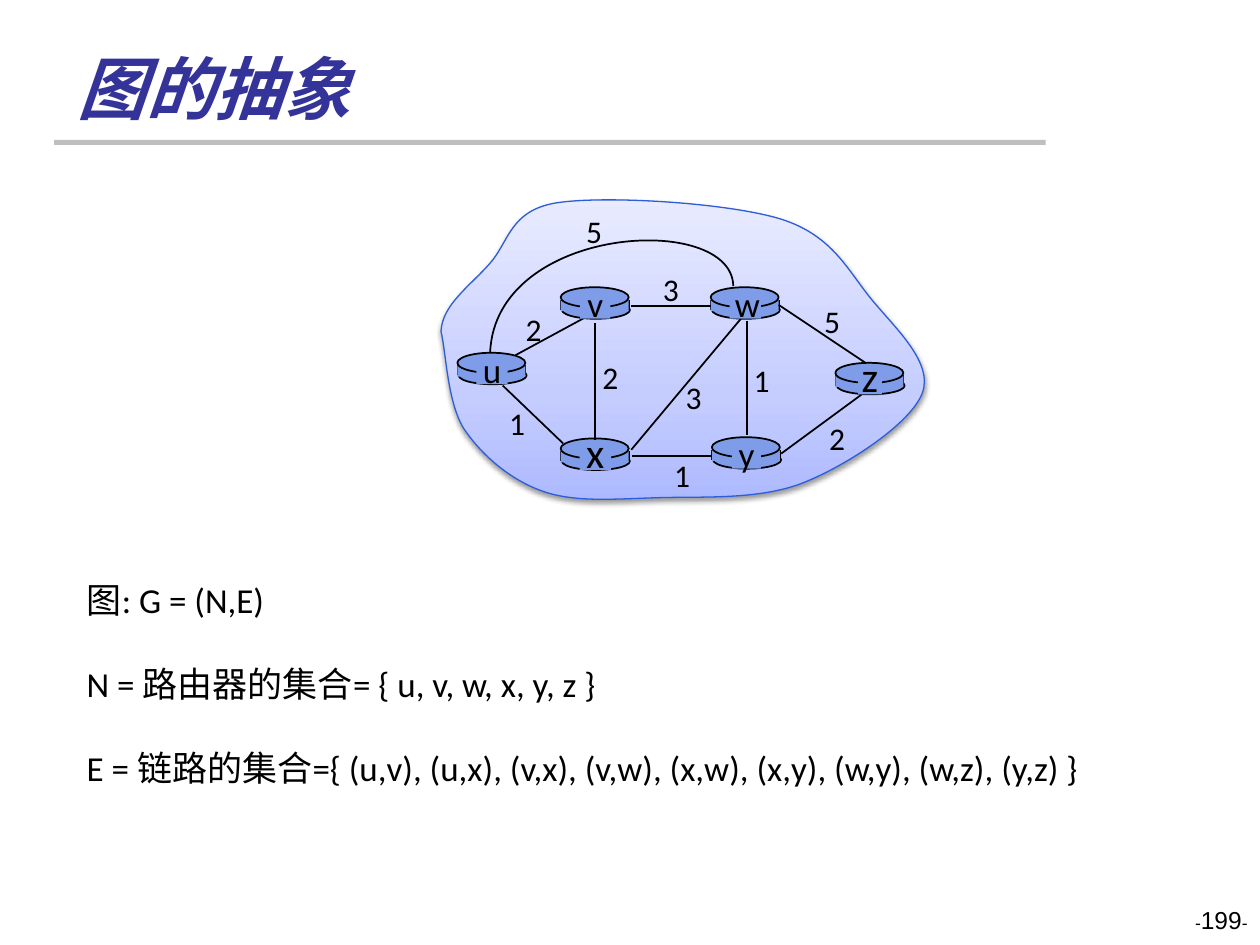
from lxml.etree import SubElement
from pptx import Presentation
from pptx.dml.color import RGBColor
from pptx.enum.shapes import MSO_CONNECTOR, MSO_SHAPE
from pptx.enum.text import MSO_ANCHOR, PP_ALIGN
from pptx.oxml import parse_xml
from pptx.oxml.ns import nsdecls, qn
from pptx.util import Cm, Pt

# Content (positions in inches)
TITLE = "图的抽象"
DEFINITIONS = [
    "图: G = (N,E)",
    "N = 路由器的集合= { u, v, w, x, y, z }",
    "E = 链路的集合={ (u,v), (u,x), (v,x), (v,w), (x,w), (x,y), (w,y), (w,z), (y,z) }",
]
PAGE_NUMBER = [("-", 10), ("199", 14), ("-", 10)]

# name, left, top, label size, label patch width
ROUTERS = [
    ("u", 3.63, 2.8, 20, 0.25), ("x", 4.45, 3.48, 24, 0.25),
    ("v", 4.45, 2.28, 20, 0.24), ("w", 5.64, 2.28, 20, 0.25),
    ("y", 5.65, 3.47, 20, 0.23), ("z", 6.63, 2.88, 24, 0.19),
]
LINK_UV = (4.09, 2.82, 4.68, 2.5)
LINKS = [
    (5.93, 2.55, 5.93, 3.45), (4.72, 2.56, 4.72, 3.49), (5.01, 3.57, 5.88, 2.53),
    (6.2, 3.6, 6.84, 3.13), (5.65, 3.62, 5.02, 3.62), (4.47, 3.52, 3.99, 3.06),
    (5.64, 2.43, 5.01, 2.43), (6.87, 2.88, 6.18, 2.42),
]
COSTS = [  # cost, left, top
    ("2", 4.07, 2.41), ("2", 4.68, 2.79), ("1", 3.94, 3.16), ("3", 5.34, 2.95),
    ("1", 5.25, 3.57), ("1", 5.88, 2.82), ("2", 6.48, 3.28), ("5", 6.44, 2.35),
    ("3", 5.16, 2.09), ("5", 4.55, 1.63),
]
# Start point, then cubic curves as two control points and an end point
CLOUD = (3.5, 2.63), [
    (3.51, 2.42, 3.73, 2.27, 3.88, 2.1), (4.04, 1.93, 4.04, 1.67, 4.42, 1.61),
    (4.81, 1.55, 5.78, 1.61, 6.2, 1.74), (6.61, 1.87, 6.73, 2.15, 6.92, 2.38),
    (7.11, 2.61, 7.41, 2.88, 7.32, 3.12), (7.23, 3.36, 6.73, 3.69, 6.38, 3.83),
    (6.03, 3.97, 5.57, 3.94, 5.23, 3.95), (4.88, 3.96, 4.57, 3.99, 4.31, 3.9),
    (4.05, 3.81, 3.82, 3.61, 3.68, 3.4), (3.55, 3.19, 3.54, 2.79, 3.5, 2.63),
]
LINK_UW = (5.82, 2.27), [(5.81, 1.68, 3.93, 1.78, 3.89, 2.8)]
CLOUD_STOPS = [(0, "ADB9FF"), (35, "C5CDFF"), (100, "E9ECFF")]
BLACK, ROUTER_BLUE, CLOUD_EDGE = "000000", "7E9CE8", "2D5DD9"

presentation = Presentation()
presentation.slide_width, presentation.slide_height = Cm(25.4), Cm(19.05)
slide = presentation.slides.add_slide(presentation.slide_layouts[6])


def lengths(*inches):
    return [Cm(value * 2.54) for value in inches]


def color(value):
    return RGBColor.from_string(value)


def set_line(shape, value, width=1):
    shape.line.color.rgb = color(value)
    shape.line.width = Pt(width)


def add_block(kind, box, fill, outline=None):
    shape = slide.shapes.add_shape(kind, *lengths(*box))
    shape.shadow.inherit = False
    shape.fill.solid()
    shape.fill.fore_color.rgb = color(fill)
    if outline:
        set_line(shape, outline)
    else:
        shape.line.fill.background()


def add_link(*ends):
    connector = slide.shapes.add_connector(MSO_CONNECTOR.STRAIGHT, *lengths(*ends))
    set_line(connector, BLACK)
    SubElement(connector._element.spPr, qn("a:effectLst"))


def add_curve(start, curves, close):
    points = [lengths(*curve[i:i + 2]) for curve in curves for i in (0, 2, 4)]
    builder = slide.shapes.build_freeform(*lengths(*start))
    builder.add_line_segments(points, close=close)
    shape = builder.convert_to_shape()
    shape.shadow.inherit = False
    shape.fill.background()
    # Join every three segments into one cubic curve
    segments = list(shape._element.iter(qn("a:lnTo")))[:len(points)]
    for first in range(0, len(points), 3):
        curve = parse_xml(f'<a:cubicBezTo {nsdecls("a")}/>')
        segments[first].addprevious(curve)
        for segment in segments[first:first + 3]:
            curve.append(segment[0])
            segment.getparent().remove(segment)
    return shape


def add_text(box, paragraphs, align=PP_ALIGN.LEFT, wrap=True, gap=0,
             anchor=MSO_ANCHOR.TOP, name="Calibri", ink=BLACK, **font_format):
    """Each paragraph is a list of (text, size) runs."""
    frame = slide.shapes.add_textbox(*lengths(*box)).text_frame
    frame.word_wrap = wrap
    frame.vertical_anchor = anchor
    for index, runs in enumerate(paragraphs):
        paragraph = frame.add_paragraph() if index else frame.paragraphs[0]
        paragraph.alignment = align
        if index and gap:
            paragraph.space_before = Pt(gap)
        for text, size in runs:
            run = paragraph.add_run()
            run.text = text
            run.font.color.rgb = color(ink)
            for key, value in {"name": name, "size": Pt(size), **font_format}.items():
                setattr(run.font, key, value)


def add_router(left, top):
    add_block(MSO_SHAPE.OVAL, (left + 0.01, top + 0.11, 0.54, 0.14), ROUTER_BLUE, BLACK)
    for side in (left, left + 0.54):
        add_link(side, top + 0.1, side, top + 0.18)
    add_block(MSO_SHAPE.RECTANGLE, (left, top + 0.1, 0.54, 0.09), ROUTER_BLUE)
    add_block(MSO_SHAPE.OVAL, (left, top, 0.54, 0.16), ROUTER_BLUE, BLACK)


# Rule under the title
add_block(MSO_SHAPE.RECTANGLE, (0.43, 1.11, 7.87, 0.04), "BFBFBF")

# Network cloud with gradient and soft shadow
cloud = add_curve(*CLOUD, close=True)
set_line(cloud, CLOUD_EDGE, 0.75)
properties = cloud._element.spPr
stops = "".join(f'<a:gs pos="{position * 1000}"><a:srgbClr val="{value}"/></a:gs>'
                for position, value in CLOUD_STOPS)
properties.replace(properties.find(qn("a:noFill")), parse_xml(
    f'<a:gradFill {nsdecls("a")}><a:gsLst>{stops}</a:gsLst>'
    '<a:lin ang="16200000" scaled="0"/></a:gradFill>'))
properties.replace(properties.find(qn("a:effectLst")), parse_xml(
    f'<a:effectLst {nsdecls("a")}><a:outerShdw blurRad="{Pt(3.1)}" dist="{Pt(1.6)}" '
    'dir="5400000" rotWithShape="0"><a:srgbClr val="000000"><a:alpha val="38000"/>'
    '</a:srgbClr></a:outerShdw></a:effectLst>'))

# Routers and links
add_link(*LINK_UV)
for _, left, top, _, _ in ROUTERS:
    add_router(left, top)
for link in LINKS:
    add_link(*link)
set_line(add_curve(*LINK_UW, close=False), BLACK)

# Router names on patches that hide the rim
for name, left, top, size, width in ROUTERS:
    middle = left + 0.275
    height = 0.44 if size == 20 else 0.51
    center = top + (0.135 if size == 20 else 0.11)
    add_block(MSO_SHAPE.RECTANGLE, (middle - width / 2, top + 0.02, width, 0.23), ROUTER_BLUE)
    add_text((middle - 0.18, center - height / 2, 0.36, height), [[(name, size)]],
             PP_ALIGN.CENTER, wrap=False)

# Link costs
for cost, left, top in COSTS:
    add_text((left, top, 0.33, 0.4), [[(cost, 18)]], PP_ALIGN.CENTER, wrap=False)

# Definitions, title and page number
add_text((0.59, 4.54, 8.14, 1.78), [[(line, 20)] for line in DEFINITIONS], gap=24)
add_text((0.52, 0.29, 8.25, 0.78), [[(TITLE, 39)]], anchor=MSO_ANCHOR.BOTTOM,
         ink="333399", bold=True, italic=True)
add_text((7.67, 7.13, 2.33, 0.5), [PAGE_NUMBER], PP_ALIGN.RIGHT, name="Arial")

presentation.save("out.pptx")
